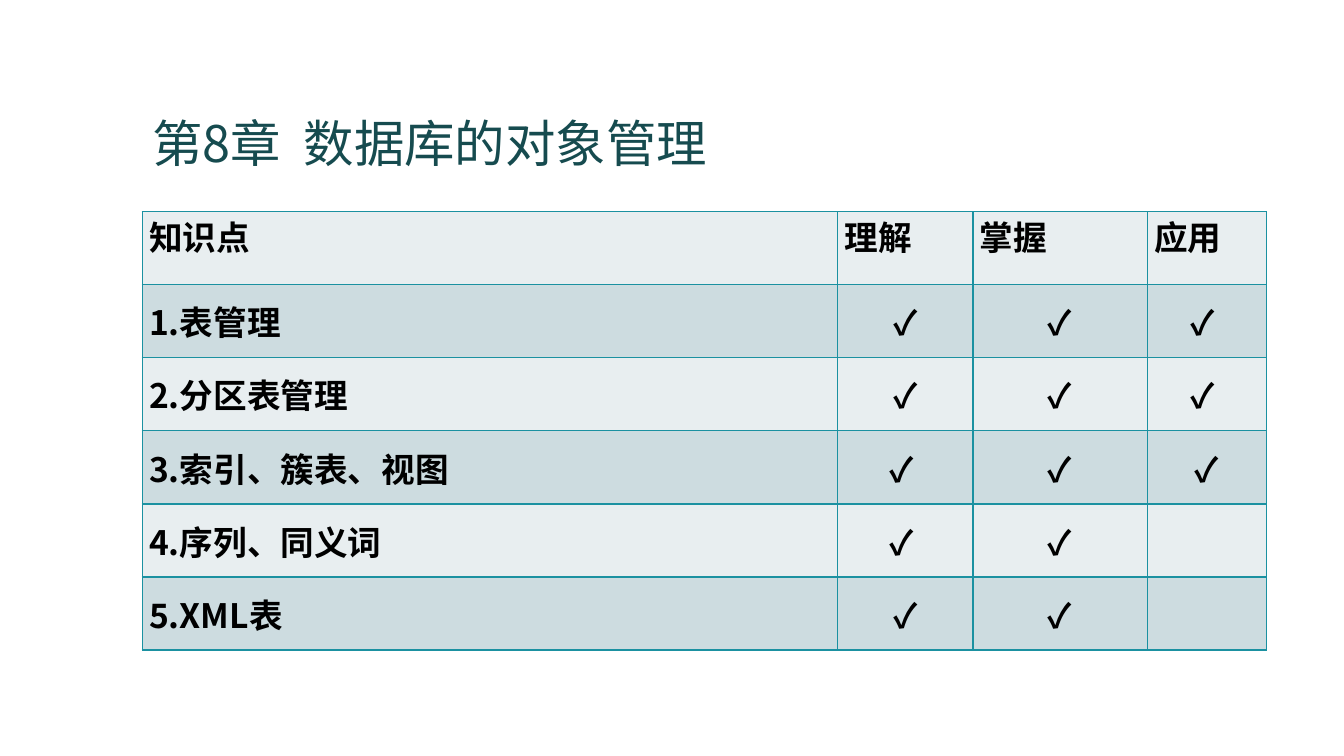
from dataclasses import dataclass

from lxml import etree
from pptx import Presentation
from pptx.dml.color import RGBColor
from pptx.enum.text import MSO_ANCHOR, MSO_AUTO_SIZE, PP_ALIGN
from pptx.oxml.ns import qn
from pptx.util import Inches, Pt

TITLE_ONLY = 5
TOP, MIDDLE, BOTTOM = MSO_ANCHOR.TOP, MSO_ANCHOR.MIDDLE, MSO_ANCHOR.BOTTOM
LEFT, CENTER = PP_ALIGN.LEFT, PP_ALIGN.CENTER


@dataclass(frozen=True)
class Theme:
    font: str = "Noto Sans CJK SC"
    title_size: int = 36
    table_size: int = 24
    title_color: str = "164B4F"
    text_color: str = "000000"
    border_color: str = "1B91A1"
    row_fills: tuple = ("E8EEF0", "CDDCE0")


THEME = Theme()
TITLE = "第8章  数据库的对象管理"
TITLE_BOX = (1.41, 0.52, 10.5, 1.25)
TABLE_BOX = (1.41, 2.1, 11.15, 4.35)
COLUMN_WIDTHS = (6.9, 1.34, 1.73, 1.18)
# Some check marks are followed by a no-break space.
TABLE_ROWS = (
    ("知识点", "理解", "掌握", "应用"),
    ("1.表管理", "✓", "✓", "✓ "),
    ("2.分区表管理", "✓", "✓", "✓ "),
    ("3.索引、簇表、视图", "✓ ", "✓", "✓"),
    ("4.序列、同义词", "✓ ", "✓", ""),
    ("5.XML表", "✓", "✓", ""),
)


def set_attributes(target, values):
    for name, value in values.items():
        setattr(target, name, value)


def write_text(text_frame, text, size, color, bold, alignment):
    paragraph = text_frame.paragraphs[0]
    paragraph.alignment = alignment
    if not text:
        paragraph.font.size = Pt(size)
        return
    run = paragraph.add_run()
    run.text = text
    set_attributes(run.font, {"name": THEME.font, "size": Pt(size), "bold": bold})
    run.font.color.rgb = RGBColor.from_string(color)
    east_asian = etree.Element(qn("a:ea"), typeface=THEME.font)
    run.font._element.find(qn("a:latin")).addnext(east_asian)


def add_title(slide, box):
    title = slide.shapes.title
    left, top, width, height = map(Inches, box)
    set_attributes(title, {"left": left, "top": top, "width": width, "height": height})
    set_attributes(title.text_frame, {
        "word_wrap": True, "auto_size": MSO_AUTO_SIZE.NONE, "vertical_anchor": BOTTOM,
    })
    write_text(title.text_frame, TITLE, THEME.title_size, THEME.title_color, False, LEFT)
    title.text_frame.paragraphs[0].line_spacing = 0.9


def add_borders(cell):
    properties = cell._tc.get_or_add_tcPr()
    for index, side in enumerate(("lnL", "lnR", "lnT", "lnB")):
        line = etree.Element(qn(f"a:{side}"), w=str(Pt(1)))
        fill = etree.SubElement(line, qn("a:solidFill"))
        etree.SubElement(fill, qn("a:srgbClr"), val=THEME.border_color)
        properties.insert(index, line)


def format_cell(cell, text, row, column):
    is_header = row == 0
    inset = Inches(0 if is_header else 0.04)
    set_attributes(cell, {
        "vertical_anchor": TOP if is_header else MIDDLE,
        "margin_left": Inches(0.07), "margin_right": Inches(0.07),
        "margin_top": inset, "margin_bottom": inset,
    })
    cell.fill.solid()
    cell.fill.fore_color.rgb = RGBColor.from_string(THEME.row_fills[row % 2])
    add_borders(cell)
    alignment = LEFT if is_header or column == 0 else CENTER
    write_text(cell.text_frame, text, THEME.table_size, THEME.text_color, True, alignment)


def add_knowledge_table(slide, box):
    frame = slide.shapes.add_table(len(TABLE_ROWS), len(COLUMN_WIDTHS), *map(Inches, box))
    table = frame.table
    for column, width in zip(table.columns, COLUMN_WIDTHS):
        column.width = Inches(width)
    for row_index, texts in enumerate(TABLE_ROWS):
        table.rows[row_index].height = Inches(box[3] / len(TABLE_ROWS))
        for column_index, text in enumerate(texts):
            format_cell(table.cell(row_index, column_index), text, row_index, column_index)


def main():
    presentation = Presentation()
    set_attributes(presentation, {"slide_width": Inches(13.33), "slide_height": Inches(7.5)})
    slide = presentation.slides.add_slide(presentation.slide_layouts[TITLE_ONLY])
    add_title(slide, TITLE_BOX)
    add_knowledge_table(slide, TABLE_BOX)
    presentation.save("out.pptx")


if __name__ == "__main__":
    main()
